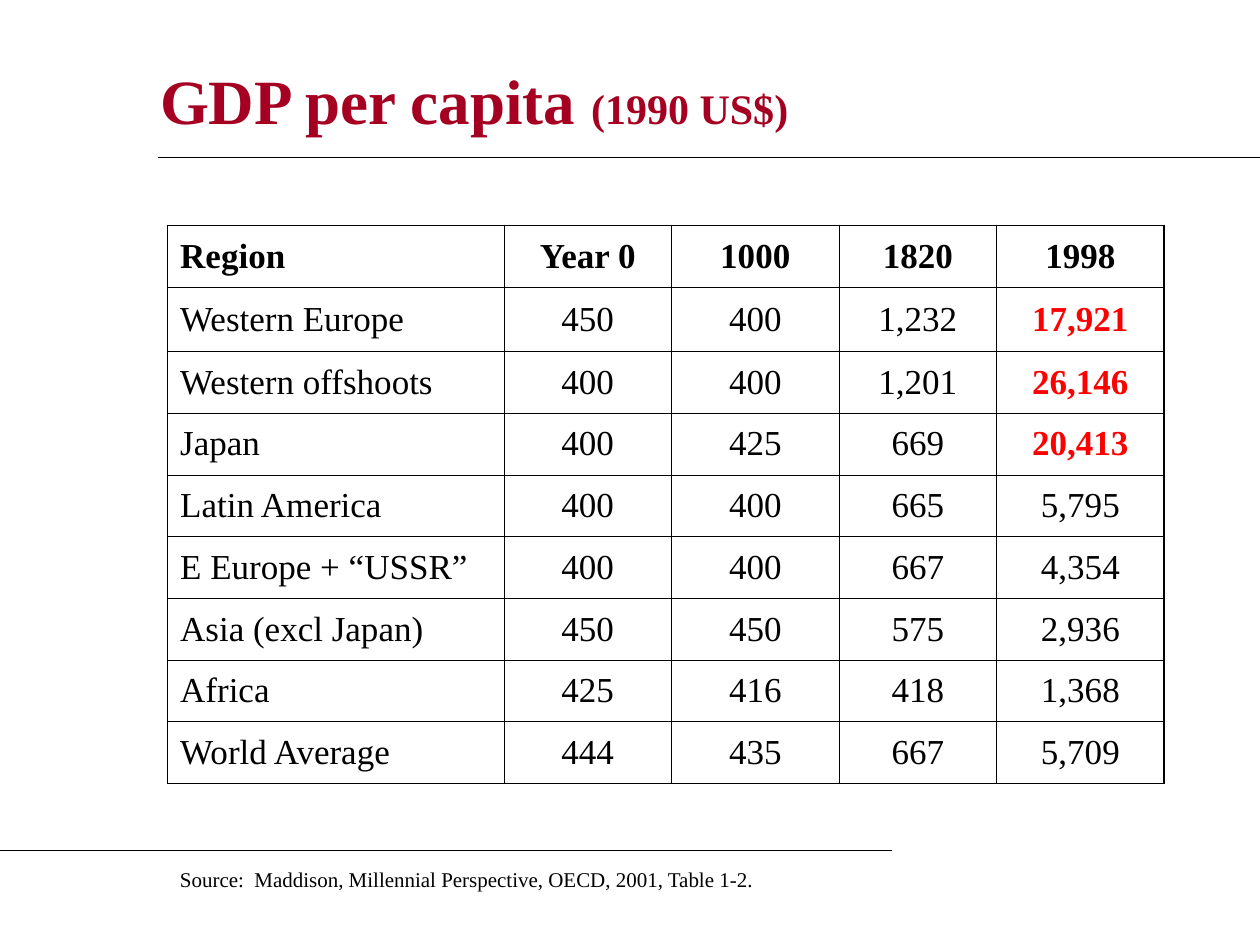
from dataclasses import dataclass

from lxml import etree
from pptx import Presentation
from pptx.dml.color import RGBColor
from pptx.enum.shapes import MSO_CONNECTOR
from pptx.enum.text import MSO_ANCHOR, MSO_AUTO_SIZE, PP_ALIGN
from pptx.oxml.ns import qn
from pptx.slide import Slide
from pptx.table import _Cell
from pptx.text.text import TextFrame
from pptx.util import Inches, Pt

STRAIGHT = MSO_CONNECTOR.STRAIGHT
MIDDLE = MSO_ANCHOR.MIDDLE
NO_AUTO_SIZE = MSO_AUTO_SIZE.NONE
GROW_SHAPE = MSO_AUTO_SIZE.SHAPE_TO_FIT_TEXT
LEFT, CENTER = PP_ALIGN.LEFT, PP_ALIGN.CENTER

FONT = "Times New Roman"
BLACK = RGBColor(0x00, 0x00, 0x00)
CRIMSON = RGBColor(0xA5, 0x00, 0x21)
RED = RGBColor(0xFF, 0x00, 0x00)
THIN, THICK = 0.45, 1.08

HEADERS = ("Region", "Year 0", "1000", "1820", "1998")
COLUMN_WIDTHS = (2.67, 1.33, 1.33, 1.25, 1.33)
HEADER_HEIGHT, FIRST_REGION_HEIGHT, ROW_HEIGHT = 0.49, 0.51, 0.49


@dataclass(frozen=True)
class Region:
    name: str
    values: tuple[str, str, str, str]
    highlighted: bool = False


@dataclass(frozen=True)
class Rule:
    left: float
    right: float
    top: float


REGIONS = (
    Region("Western Europe", ("450", "400", "1,232", "17,921"), True),
    Region("Western offshoots", ("400", "400", "1,201", "26,146"), True),
    Region("Japan", ("400", "425", "669", "20,413"), True),
    Region("Latin America", ("400", "400", "665", "5,795")),
    Region("E Europe + “USSR”", ("400", "400", "667", "4,354")),
    Region("Asia (excl Japan)", ("450", "450", "575", "2,936")),
    Region("Africa", ("425", "416", "418", "1,368")),
    Region("World Average", ("444", "435", "667", "5,709")),
)
RULES = (Rule(1.25, 10, 1.25), Rule(0, 7.08, 6.75))


def add_text(
    frame: TextFrame,
    text: str,
    *,
    size: float,
    color: RGBColor = BLACK,
    bold: bool = False,
    alignment: PP_ALIGN = LEFT,
    space_before: float = 0,
) -> None:
    paragraph = frame.paragraphs[0]
    paragraph.alignment = alignment
    paragraph.space_before = Pt(space_before)
    run = paragraph.add_run()
    run.text = text
    run.font.name = FONT
    run.font.size = Pt(size)
    run.font.bold = bold
    run.font.color.rgb = color


def add_title(slide: Slide) -> None:
    title = slide.shapes.title
    title.left, title.top = Inches(1.17), Inches(0.5)
    title.width, title.height = Inches(7.92), Inches(0.58)
    frame = title.text_frame
    frame.auto_size = NO_AUTO_SIZE
    frame.vertical_anchor = MIDDLE
    add_text(frame, "GDP per capita ", size=36, color=CRIMSON, bold=True)
    add_text(frame, "(1990 US$)", size=24, color=CRIMSON, bold=True)


def add_rule(slide: Slide, rule: Rule) -> None:
    top = Inches(rule.top)
    connector = slide.shapes.add_connector(
        STRAIGHT, Inches(rule.left), top, Inches(rule.right), top
    )
    connector.line.color.rgb = BLACK
    connector.line.width = Pt(0.75)
    etree.SubElement(connector._element.spPr, qn("a:effectLst"))


def set_borders(cell: _Cell, widths: dict[str, float]) -> None:
    properties = cell._tc.get_or_add_tcPr()
    for side, width in widths.items():
        line = etree.SubElement(properties, qn(f"a:ln{side}"), w=str(Pt(width)))
        fill = etree.SubElement(line, qn("a:solidFill"))
        etree.SubElement(fill, qn("a:srgbClr"), val=str(BLACK))


def add_gdp_table(slide: Slide) -> None:
    rows = [HEADERS] + [(region.name, *region.values) for region in REGIONS]
    heights = [HEADER_HEIGHT, FIRST_REGION_HEIGHT] + [ROW_HEIGHT] * (len(rows) - 2)
    table = slide.shapes.add_table(
        len(rows), len(HEADERS), Inches(1.33), Inches(1.79),
        Inches(sum(COLUMN_WIDTHS)), Inches(sum(heights)),
    ).table
    table.first_row = False
    table.horz_banding = False
    for column, width in zip(table.columns, COLUMN_WIDTHS):
        column.width = Inches(width)
    for row, height in zip(table.rows, heights):
        row.height = Inches(height)

    last_row, last_column = len(rows) - 1, len(HEADERS) - 1
    for row_index, values in enumerate(rows):
        is_header = row_index == 0
        for column_index, value in enumerate(values):
            cell = table.cell(row_index, column_index)
            cell.vertical_anchor = MIDDLE
            set_borders(cell, {
                "L": THICK if column_index == 0 else THIN,
                "R": THICK if column_index == last_column else THIN,
                "T": THICK if is_header else THIN,
                "B": THICK if row_index == last_row else THIN,
            })
            cell.fill.background()
            highlighted = (
                not is_header
                and column_index == last_column
                and REGIONS[row_index - 1].highlighted
            )
            add_text(
                cell.text_frame,
                value,
                size=20,
                color=RED if highlighted else BLACK,
                bold=is_header or highlighted,
                alignment=LEFT if column_index == 0 else CENTER,
                space_before=5,
            )


def add_source(slide: Slide) -> None:
    box = slide.shapes.add_textbox(
        Inches(1.33), Inches(6.83), Inches(5.08), Inches(0.3)
    )
    frame = box.text_frame
    frame.word_wrap = True
    frame.auto_size = GROW_SHAPE
    add_text(
        frame,
        "Source:  Maddison, Millennial Perspective, OECD, 2001, Table 1-2.",
        size=12,
        space_before=7.5,
    )


def main() -> None:
    presentation = Presentation()
    presentation.slide_width = Inches(10)
    presentation.slide_height = Inches(7.5)
    title_only = presentation.slide_layouts.get_by_name("Title Only")
    slide = presentation.slides.add_slide(title_only)
    add_title(slide)
    for rule in RULES:
        add_rule(slide, rule)
    add_gdp_table(slide)
    add_source(slide)
    presentation.save("out.pptx")


if __name__ == "__main__":
    main()
